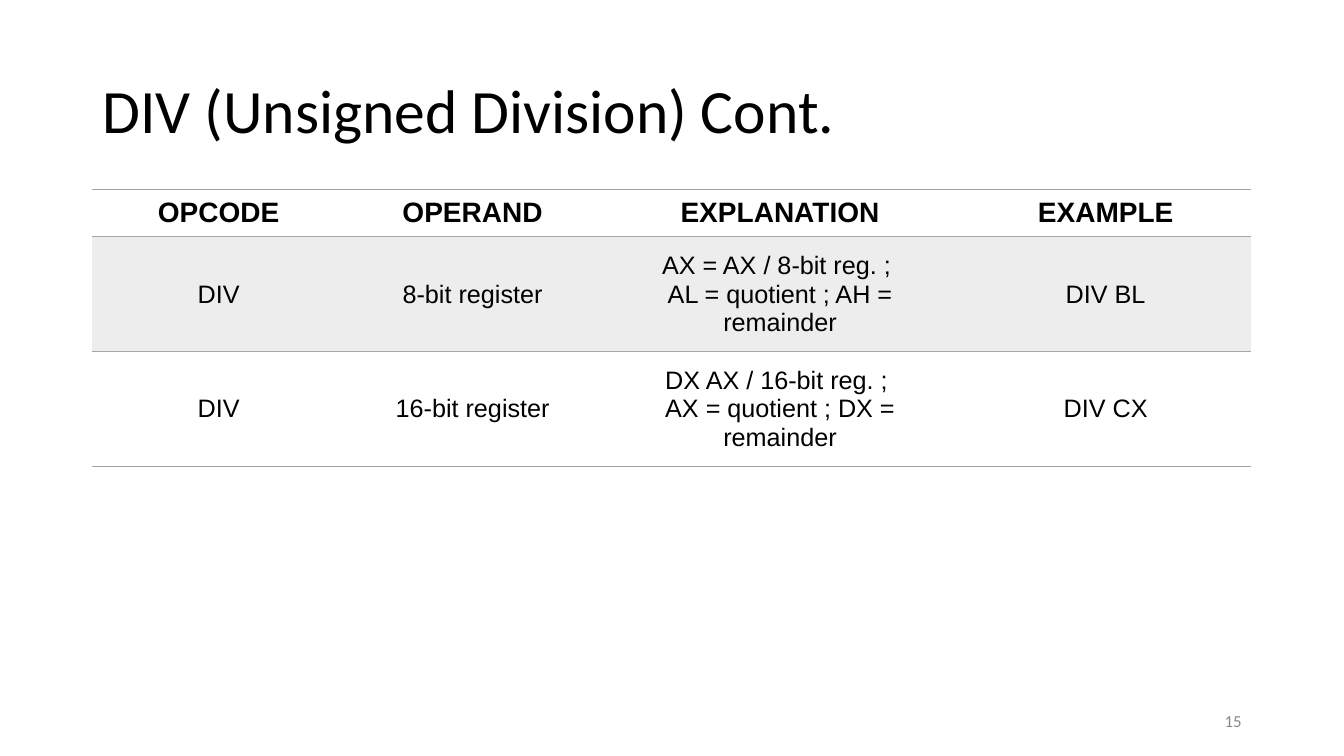
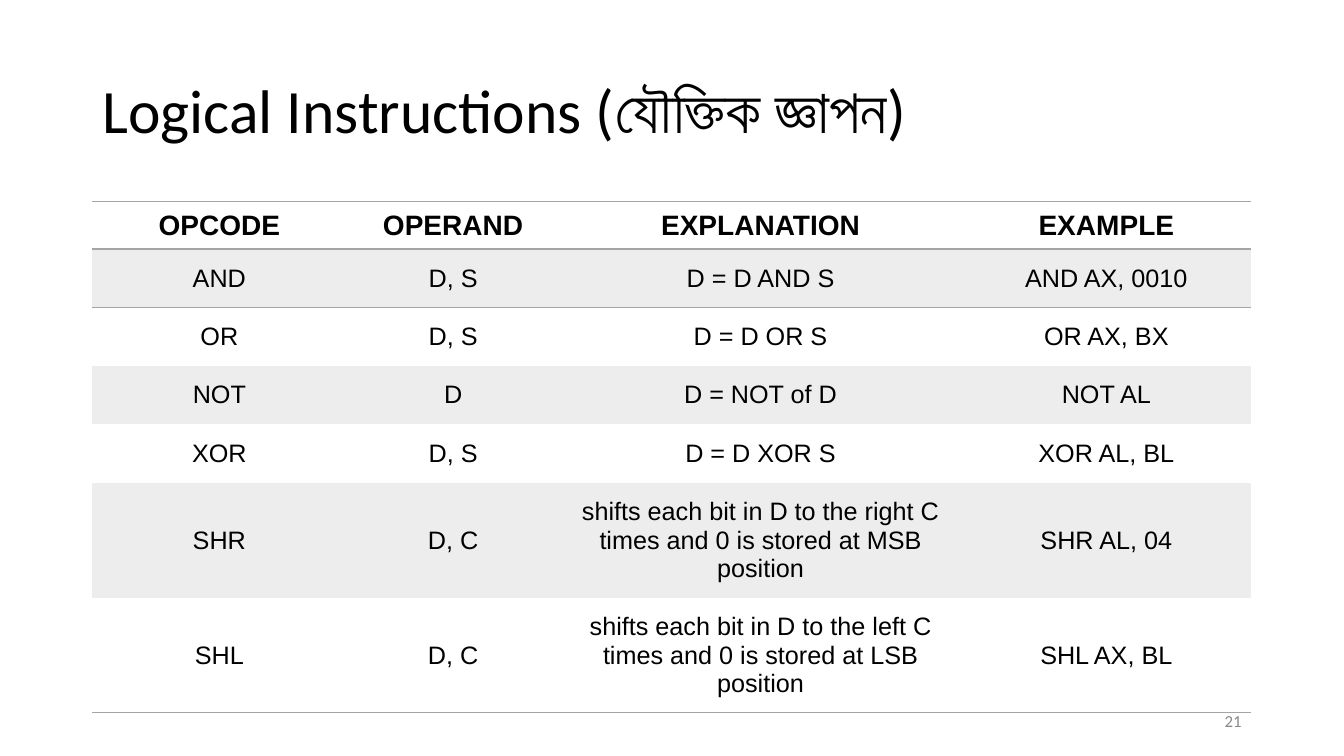
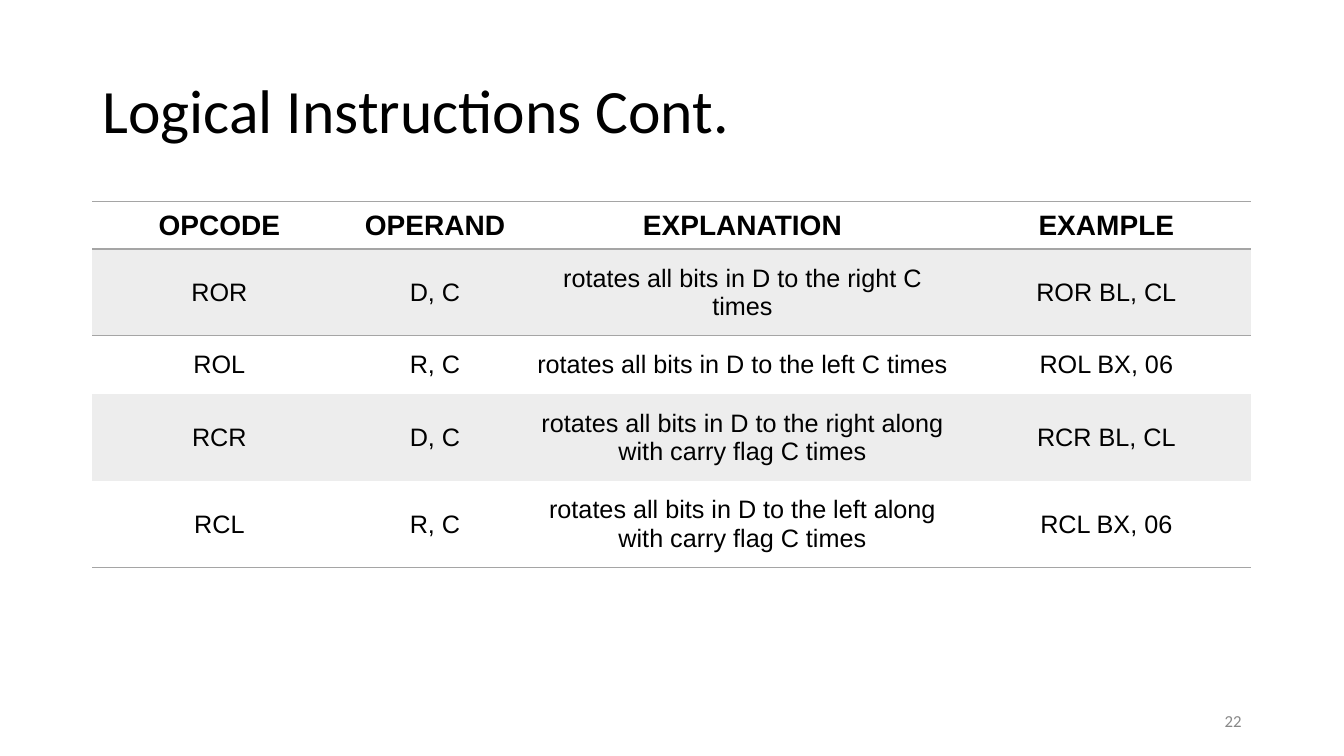
"""Builds three slides of assembly instruction tables."""
from dataclasses import dataclass

from pptx import Presentation
from pptx.dml.color import RGBColor as Color
from pptx.enum.text import MSO_ANCHOR as Anchor, MSO_AUTO_SIZE as AutoSize, PP_ALIGN as Align
from pptx.oxml import parse_xml
from pptx.oxml.ns import nsdecls, qn
from pptx.util import Pt


@dataclass(frozen=True)
class Theme:
    ink: str = "000000"
    muted: str = "888888"
    rule: str = "A5A5A5"
    band: str = "EDEDED"
    heading_font: str = "Calibri"
    table_font: str = "Arial"
    title_size: float = 44
    header_size: float = 20
    body_size: float = 18
    number_size: float = 12
    plain_table_style: str = "{2D5ABB26-0587-4C30-8999-92F81FD0307C}"


THEME = Theme()
OPCODE_WIDTH, MIDDLE_WIDTH, EXAMPLE_WIDTH = 181.4, 439.2, 207.4
ROW_HEIGHT = 29.5
HEADER = ("OPCODE", "OPERAND", "EXPLANATION", "EXAMPLE")

SLIDES = [
    ("DIV (Unsigned Division) Cont.", 15, 65.5, 135.3, 181.4, [
        ("DIV", "8-bit register", "AX = AX / 8-bit reg. ; \nAL = quotient ; AH = remainder", "DIV BL"),
        ("DIV", "16-bit register", "DX AX / 16-bit reg. ; \nAX = quotient ; DX = remainder", "DIV CX"),
    ]),
    ("Logical Instructions (যৌক্তিক জ্ঞাপন)", 21, 66, 144, 152.6, [
        ("AND", "D, S", "D = D AND S", "AND AX, 0010"),
        ("OR", "D, S", "D = D OR S", "OR AX, BX"),
        ("NOT", "D", "D = NOT of D", "NOT AL"),
        ("XOR", "D, S", "D = D XOR S", "XOR AL, BL"),
        ("SHR", "D, C", "shifts each bit in D to the right C times and 0 is stored at MSB position", "SHR AL, 04"),
        ("SHL", "D, C", "shifts each bit in D to the left C times and 0 is stored at LSB position", "SHL AX, BL"),
    ]),
    ("Logical Instructions Cont.", 22, 66, 144, 126.7, [
        ("ROR", "D, C", "rotates all bits in D to the right C times", "ROR BL, CL"),
        ("ROL", "R, C", "rotates all bits in D to the left C times", "ROL BX, 06"),
        ("RCR", "D, C", "rotates all bits in D to the right along with carry flag C times", "RCR BL, CL"),
        ("RCL", "R, C", "rotates all bits in D to the left along with carry flag C times", "RCL BX, 06"),
    ]),
]


def style_text(text_frame, align, font_name, size, color, bold=False):
    for paragraph in text_frame.paragraphs:
        paragraph.alignment = align
        for run in paragraph.runs:
            run.font.name = font_name
            run.font.size = Pt(size)
            run.font.bold = bold
            run.font.color.rgb = Color.from_string(color)


def add_border(cell, edge, position):
    line = parse_xml(
        f'<a:{edge} {nsdecls("a")} w="{Pt(1)}"><a:solidFill>'
        f'<a:srgbClr val="{THEME.rule}"/></a:solidFill></a:{edge}>'
    )
    cell._tc.get_or_add_tcPr().insert(position, line)


presentation = Presentation()
presentation.slide_width, presentation.slide_height = Pt(960), Pt(540)
title_only = presentation.slide_layouts[5]

for title_text, number, left, top, operand_width, instructions in SLIDES:
    slide = presentation.slides.add_slide(title_only)

    title = slide.shapes.title
    title.left, title.top, title.width, title.height = Pt(66), Pt(28.8), Pt(828), Pt(104.4)
    title.text_frame.text = title_text
    title.text_frame.auto_size = AutoSize.NONE
    title.text_frame.vertical_anchor = Anchor.MIDDLE
    title.text_frame.paragraphs[0].line_spacing = 0.9
    style_text(title.text_frame, Align.LEFT, THEME.heading_font, THEME.title_size, THEME.ink)

    rows = [HEADER, *instructions]
    widths = (OPCODE_WIDTH, operand_width, MIDDLE_WIDTH - operand_width, EXAMPLE_WIDTH)
    table_shape = slide.shapes.add_table(
        len(rows), len(widths), Pt(left), Pt(top), Pt(sum(widths)), Pt(ROW_HEIGHT * len(rows))
    )
    for style_id in table_shape._element.iter(qn("a:tableStyleId")):
        style_id.text = THEME.plain_table_style
    table = table_shape.table
    for column, width in zip(table.columns, widths):
        column.width = Pt(width)

    for row_index, row in enumerate(rows):
        is_header = row_index == 0
        table.rows[row_index].height = Pt(ROW_HEIGHT)
        for column_index, text in enumerate(row):
            cell = table.cell(row_index, column_index)
            cell.text_frame.text = text
            cell.vertical_anchor = Anchor.MIDDLE
            cell.margin_left = cell.margin_right = Pt(5.76 if is_header else 7.2)
            cell.margin_top = cell.margin_bottom = Pt(5.76 if is_header else 10.8)
            style_text(
                cell.text_frame, Align.CENTER, THEME.table_font,
                THEME.header_size if is_header else THEME.body_size, THEME.ink, is_header,
            )
            if row_index % 2:
                cell.fill.solid()
                cell.fill.fore_color.rgb = Color.from_string(THEME.band)
            else:
                cell.fill.background()
            edges = []
            if row_index <= 1:
                edges.append("a:lnT")
            if row_index in (0, len(rows) - 1):
                edges.append("a:lnB")
            for position, edge in enumerate(edges):
                add_border(cell, edge.removeprefix("a:"), position)

    number_box = slide.shapes.add_textbox(Pt(678), Pt(500.5), Pt(216), Pt(28.8))
    number_box.text_frame.text = str(number)
    number_box.text_frame.word_wrap = True
    number_box.text_frame.vertical_anchor = Anchor.MIDDLE
    style_text(number_box.text_frame, Align.RIGHT, THEME.heading_font, THEME.number_size, THEME.muted)

presentation.save("out.pptx")
